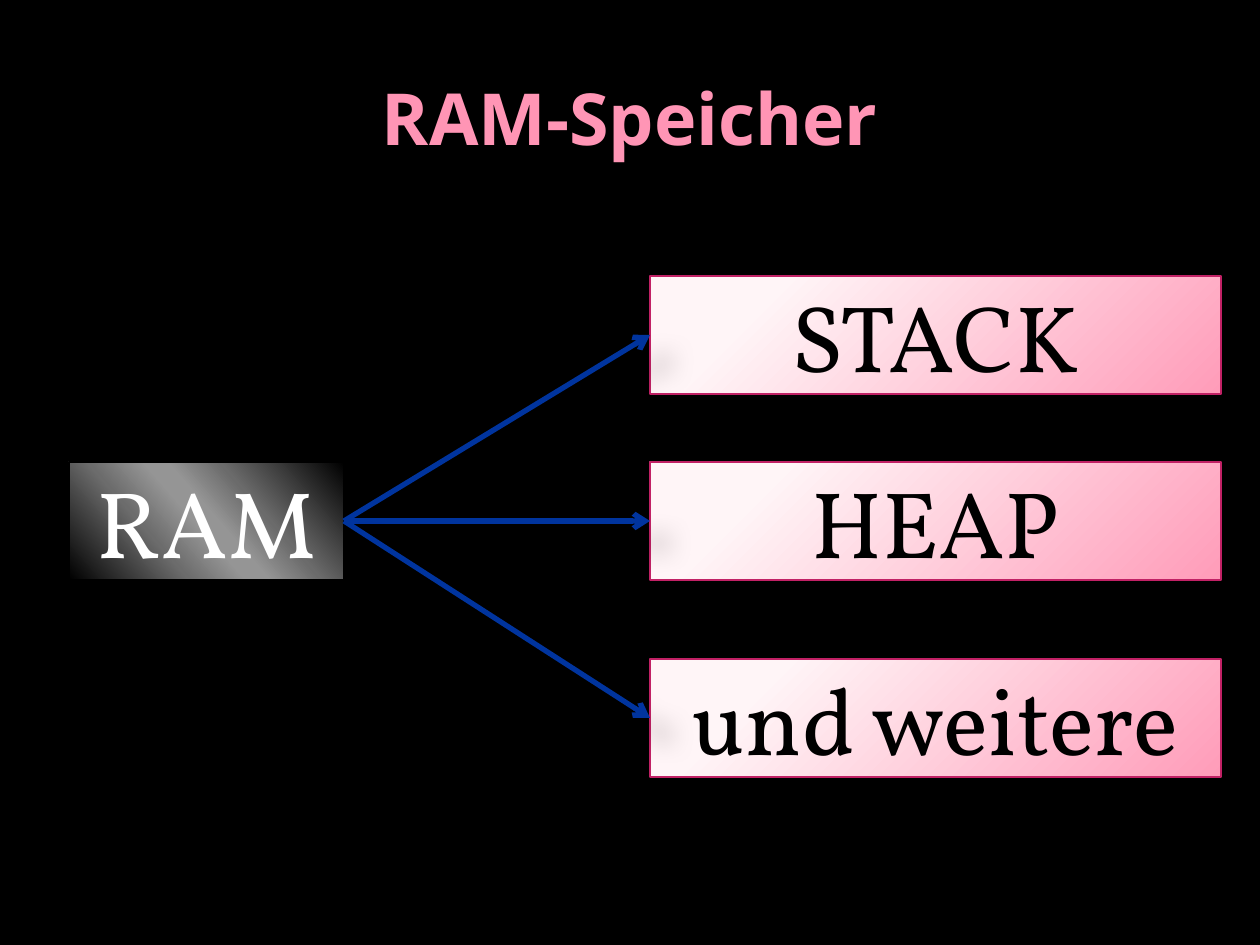
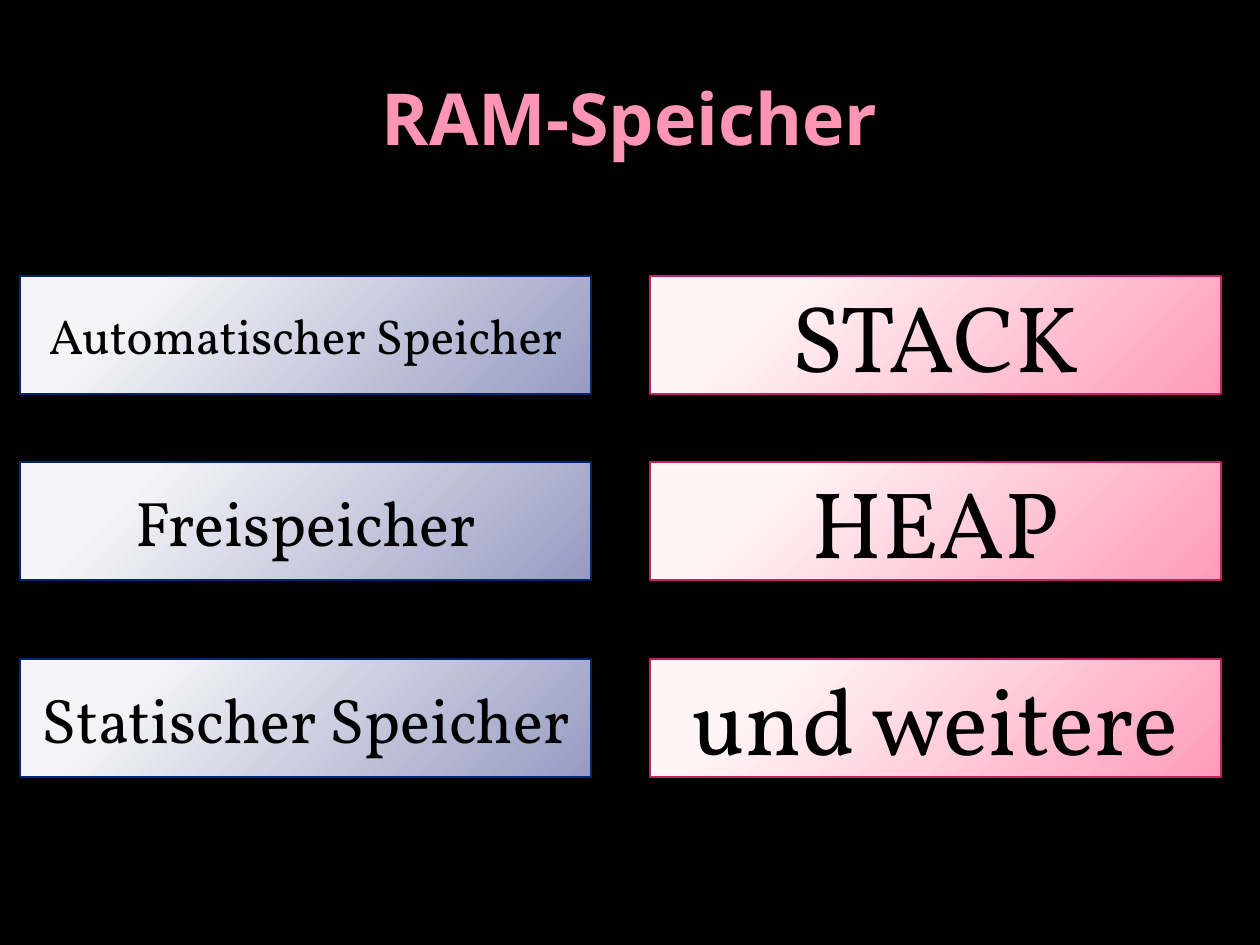
"""Build two slides about the areas of RAM."""
from dataclasses import dataclass

from lxml import etree
from pptx import Presentation
from pptx.dml.color import RGBColor
from pptx.enum.shapes import MSO_CONNECTOR, MSO_SHAPE
from pptx.enum.text import MSO_ANCHOR, PP_ALIGN
from pptx.oxml.ns import qn
from pptx.util import Emu, Pt

RECT, STRAIGHT = MSO_SHAPE.RECTANGLE, MSO_CONNECTOR.STRAIGHT
MIDDLE, CENTER = MSO_ANCHOR.MIDDLE, PP_ALIGN.CENTER
LEFT_SIDE, RIGHT_SIDE = 1, 3


@dataclass(frozen=True)
class Gradient:
    """Colour stops in percent; radial from the top left without an angle."""
    stops: tuple
    angle: int | None = None


@dataclass(frozen=True)
class BoxStyle:
    """Fill, outline and text colour of a box."""
    fill: Gradient
    line: str
    text: str = "000000"


@dataclass(frozen=True)
class Shadow:
    """Opacity in percent, blur and distance in points."""
    alpha: int
    blur: float
    dist: int


class Theme:
    """Colours, fonts and sizes shared by the slides."""
    background = "000000"
    title_font, title_size = "Noto Sans", 41
    title_fill = Gradient(((0, "FF95B5"), (73, "FF95B5"), (100, "FF7DA7")), 80)
    body_font = "Vollkorn"
    large, medium, small = 54, 36, 28
    pink = BoxStyle(Gradient(((20, "FFF5F7"), (100, "FF9CB9"))), "C12165")
    blue = BoxStyle(Gradient(((20, "F5F5F8"), (100, "979BC2"))), "002673")
    dark = BoxStyle(Gradient(((0, "000000"), (33, "6B6B6B"), (47, "959595"),
                              (53, "959595"), (68, "6C6C6C"), (100, "000000")), 139),
                    "000000", "FFFFFF")
    outline, arrow_width, arrow = 0.75, 3, "00349E"
    soft, deep = Shadow(35, 10.2, 8), Shadow(26, 15, 18)


TITLE = "RAM-Speicher"
SOURCE = "RAM"
AREAS = [("STACK", Theme.large), ("HEAP", Theme.large), ("und weitere", Theme.large)]
KINDS = [("Automatischer Speicher", Theme.small), ("Freispeicher", Theme.medium),
         ("Statischer Speicher", Theme.medium)]

SCALE = 914400 / 126
SLIDE_SIZE = (1260, 945)
TITLE_BOX = (63, 38, 1134, 158)
ROW_TOPS = (276, 462, 659)
BOX_WIDTH, BOX_HEIGHT = 571, 118
KINDS_LEFT, AREAS_LEFT = 20, 650
SOURCE_LEFT, SOURCE_WIDTH = 69, 275


def px(*lengths):
    """Turn pixels into EMU."""
    return [Emu(round(n * SCALE)) for n in lengths]


def add_element(parent, tag, **attrs):
    """Append a DrawingML element."""
    return etree.SubElement(parent, qn("a:" + tag), {k: str(v) for k, v in attrs.items()})


def insert_gradient(parent, index, gradient):
    """Put a gradient fill into a property element."""
    fill = etree.Element(qn("a:gradFill"), rotWithShape="1")
    stops = add_element(fill, "gsLst")
    for position, color in gradient.stops:
        stop = add_element(stops, "gs", pos=position * 1000)
        add_element(stop, "srgbClr", val=color)
    if gradient.angle is None:
        circle = add_element(fill, "path", path="circle")
        add_element(circle, "fillToRect", l=-15000, t=-15000, r=115000, b=115000)
    else:
        add_element(fill, "lin", ang=gradient.angle * 60000, scaled=0)
    parent.insert(index, fill)


def cast_shadow(sp, shadow):
    """Give a shape an outer shadow towards the lower right."""
    effects = sp._element.spPr.get_or_add_effectLst()
    outer = add_element(effects, "outerShdw", blurRad=Pt(shadow.blur), dist=Pt(shadow.dist),
                        dir=45 * 60000, algn="tl", rotWithShape=0)
    color = add_element(outer, "srgbClr", val="000000")
    add_element(color, "alpha", val=shadow.alpha * 1000)


def write(sp, text, font, size):
    """Write one centred run and return it."""
    tf = sp.text_frame
    tf.word_wrap = True
    tf.vertical_anchor = MIDDLE
    p = tf.paragraphs[0]
    p.alignment = CENTER
    r = p.add_run()
    r.text = text
    r.font.name, r.font.size = font, Pt(size)
    return r


def add_slide(prs):
    """Add a black slide with the shared title."""
    slide = prs.slides.add_slide(prs.slide_layouts[6])
    fill = slide.background.fill
    fill.solid()
    fill.fore_color.rgb = RGBColor.from_string(Theme.background)
    r = write(slide.shapes.add_textbox(*px(*TITLE_BOX)), TITLE, Theme.title_font, Theme.title_size)
    r.font.bold = True
    insert_gradient(r._r.get_or_add_rPr(), 0, Theme.title_fill)
    return slide


def add_box(slide, left, top, width, text, size, style, shadow=Theme.soft):
    """Add a labelled gradient box."""
    sp = slide.shapes.add_shape(RECT, *px(left, top, width, BOX_HEIGHT))
    sp.shadow.inherit = False
    insert_gradient(sp._element.spPr, 2, style.fill)
    sp.line.color.rgb = RGBColor.from_string(style.line)
    sp.line.width = Pt(Theme.outline)
    cast_shadow(sp, shadow)
    r = write(sp, text, Theme.body_font, size)
    r.font.color.rgb = RGBColor.from_string(style.text)
    return sp


def add_arrow(slide, start, end):
    """Join the right side of one box to the left side of another."""
    line = slide.shapes.add_connector(STRAIGHT, 0, 0, 0, 0)
    line.begin_connect(start, RIGHT_SIDE)
    line.end_connect(end, LEFT_SIDE)
    line.line.color.rgb = RGBColor.from_string(Theme.arrow)
    line.line.width = Pt(Theme.arrow_width)
    add_element(line.line._get_or_add_ln(), "tailEnd", type="arrow")
    cast_shadow(line, Theme.deep)


def add_column(slide, left, entries, style, source=None):
    """Stack boxes on the shared rows, with arrows from a source box if given."""
    for top, (text, size) in zip(ROW_TOPS, entries):
        sp = add_box(slide, left, top, BOX_WIDTH, text, size, style)
        if source is not None:
            add_arrow(slide, source, sp)


def main():
    """Build and save the slides."""
    prs = Presentation()
    prs.slide_width, prs.slide_height = px(*SLIDE_SIZE)

    slide = add_slide(prs)
    source = add_box(slide, SOURCE_LEFT, ROW_TOPS[1], SOURCE_WIDTH, SOURCE, Theme.large,
                     Theme.dark, Theme.deep)
    add_column(slide, AREAS_LEFT, AREAS, Theme.pink, source)

    slide = add_slide(prs)
    add_column(slide, AREAS_LEFT, AREAS, Theme.pink)
    add_column(slide, KINDS_LEFT, KINDS, Theme.blue)

    prs.save("out.pptx")


if __name__ == "__main__":
    main()
